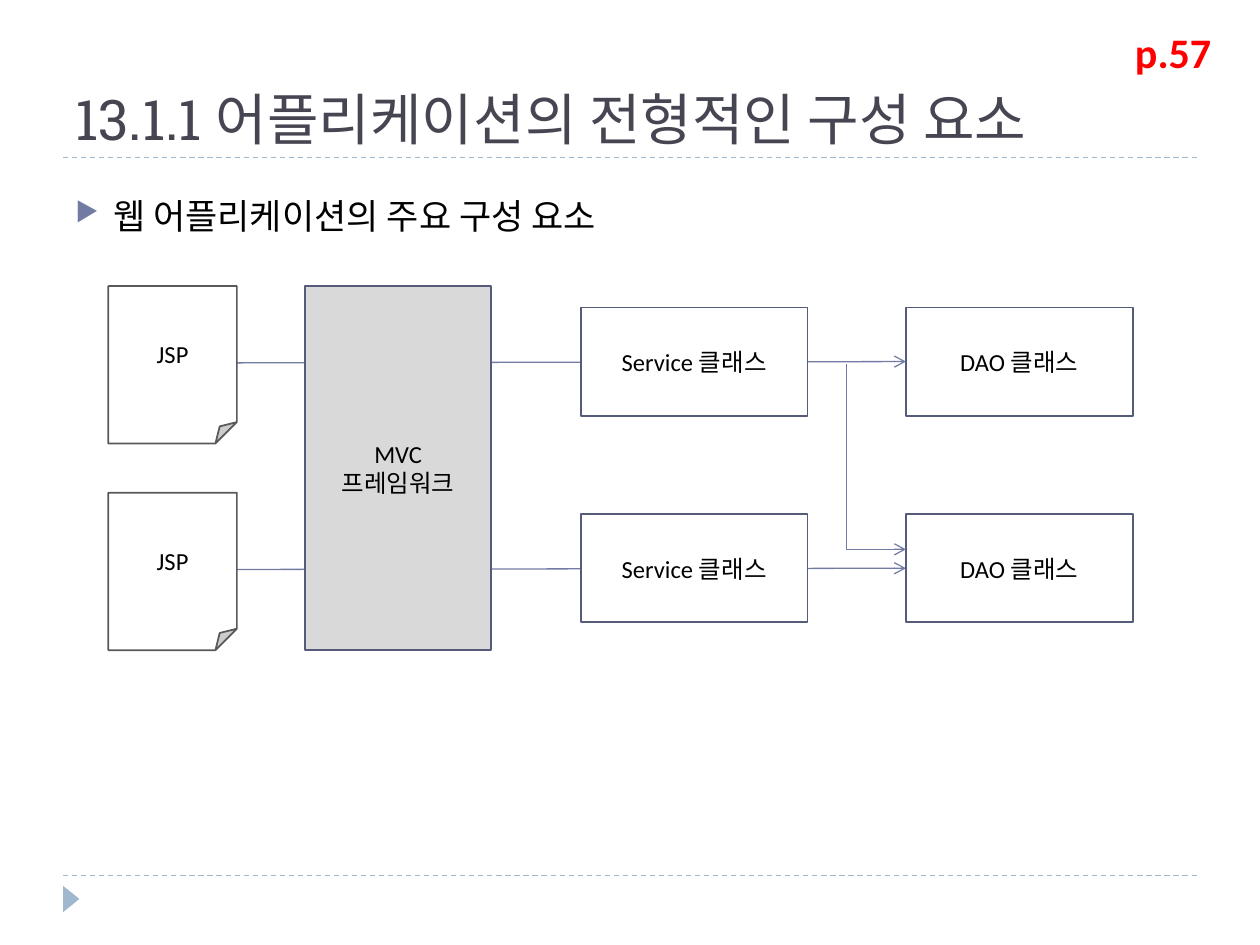
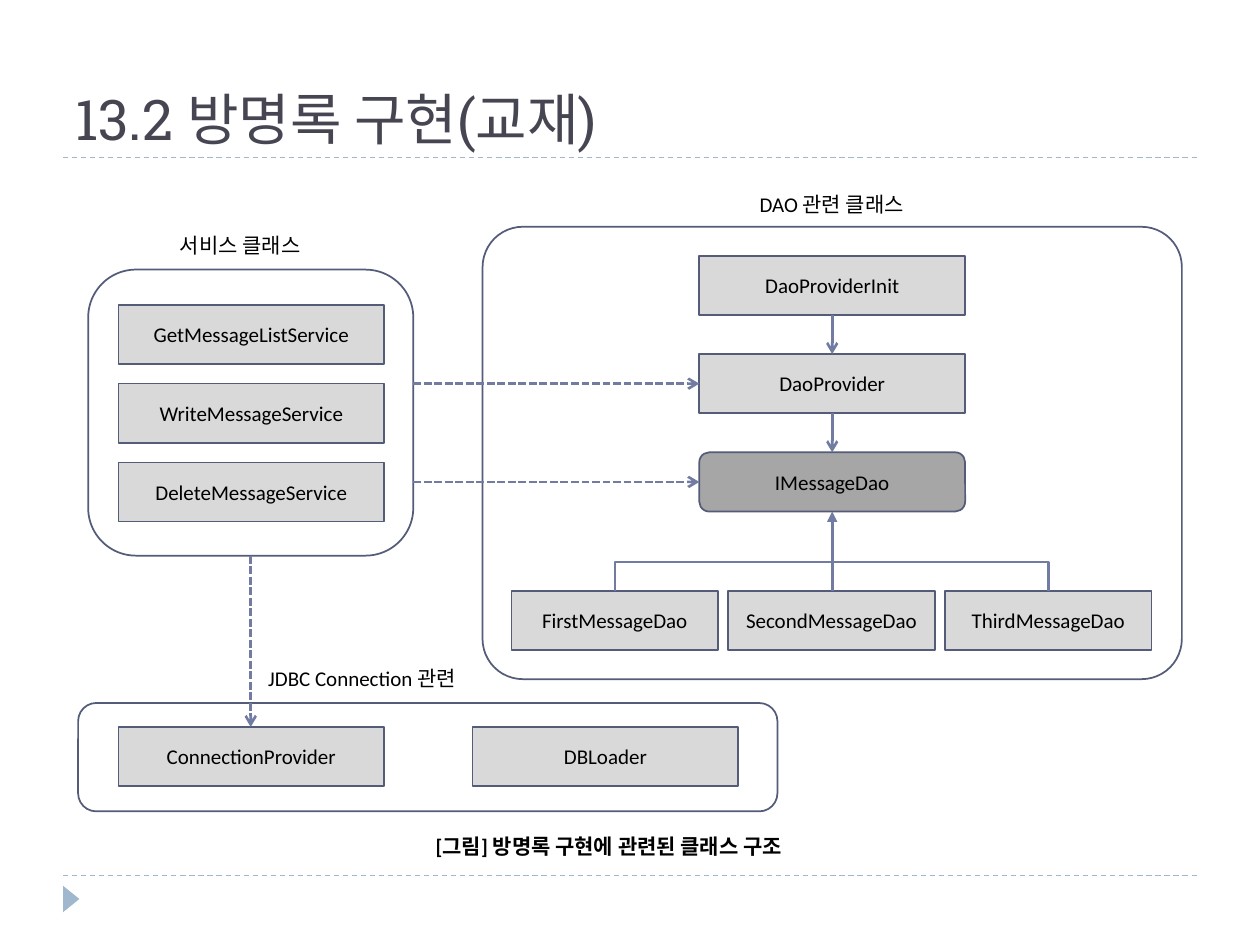
from pptx import Presentation
from pptx.dml.color import RGBColor
from pptx.enum.dml import MSO_LINE as Dash
from pptx.enum.shapes import MSO_CONNECTOR as Link, MSO_SHAPE as Kind
from pptx.enum.text import MSO_ANCHOR as Anchor, MSO_AUTO_SIZE as Fit, PP_ALIGN as Align
from pptx.oxml.ns import qn
from pptx.util import Inches, Pt
from lxml.etree import SubElement

WIDTH, HEIGHT = 10, 7.5
MARGIN = WIDTH * 0.05
TITLE_FONT, BODY_FONT = "Roboto Slab", "Calibri"
INK, TITLE_INK, RED = "000000", "464653", "FF0000"
PALE, ACCENT, EDGE = "9FB8CD", "727CA3", "545C79"
WHITE, GREY, DARK_GREY, PAPER_EDGE = "FFFFFF", "D9D9D9", "A6A6A6", "595959"

TITLES = ["13.1.1 어플리케이션의 전형적인 구성 요소", "13.2 방명록 구현(교재)"]
TOPIC = "웹 어플리케이션의 주요 구성 요소"
PAGE_MARK = "p.57"
LAYERS = [("Service 클래스", 4.61), ("DAO 클래스", 7.19)]
SERVICES = ["GetMessageListService", "WriteMessageService", "DeleteMessageService"]
DAO_CHAIN = [("DaoProviderInit", Kind.RECTANGLE, GREY),
             ("DaoProvider", Kind.RECTANGLE, GREY),
             ("IMessageDao", Kind.ROUNDED_RECTANGLE, DARK_GREY)]
DAO_VARIANTS = ["FirstMessageDao", "SecondMessageDao", "ThirdMessageDao"]
CONNECTION = ["ConnectionProvider", "DBLoader"]
GROUPS = [((0.7, 2.14, 2.58, 2.27), 0.167),
          ((3.83, 1.8, 5.55, 3.59), 0.089),
          ((0.62, 5.58, 5.55, 0.86), 0.167)]
LABELS = [("서비스 클래스", (1.33, 1.8, 1.26, 0.3), False),
          ("DAO 관련 클래스", (5.93, 1.47, 1.5, 0.3), False),
          ("JDBC Connection 관련", (2.03, 5.23, 1.82, 0.3), False),
          ("[그림] 방명록 구현에 관련된 클래스 구조", (3.36, 6.57, 3.28, 0.3), True)]


def color(value):
    return RGBColor.from_string(value)


def inches(values):
    return [Inches(value) for value in values]


def write(box, text, size, ink=INK, font=BODY_FONT, bold=False, align=None):
    box.text_frame.text = text
    for para in box.text_frame.paragraphs:
        para.alignment = align
        for span in para.runs:
            span.font.size, span.font.name, span.font.bold = Pt(size), font, bold
            span.font.color.rgb = color(ink)


def add_text(page, text, place, size, wrap=True, **style):
    box = page.shapes.add_textbox(*inches(place))
    write(box, text, size, **style)
    box.text_frame.word_wrap = wrap
    return box


def add_box(page, place, text="", kind=Kind.RECTANGLE, fill=None, edge=EDGE, size=12):
    box = page.shapes.add_shape(kind, *inches(place))
    box.shadow.inherit = False
    if fill:
        box.fill.solid()
        box.fill.fore_color.rgb = color(fill)
    else:
        box.fill.background()
    if edge:
        box.line.color.rgb = color(edge)
        box.line.width = Pt(1)
    else:
        box.line.fill.background()
    if text:
        write(box, text, size, align=Align.CENTER)
        box.text_frame.vertical_anchor = Anchor.MIDDLE
    return box


def style_line(shape, ink, width, dash=None, tip=None):
    shape.line.color.rgb = color(ink)
    shape.line.width = Pt(width)
    if dash:
        shape.line.dash_style = dash
    if tip:
        SubElement(shape.line._get_or_add_ln(), qn("a:tailEnd"), type=tip)


def add_line(page, start, end, ink=ACCENT, width=1.5, dash=None, tip=None):
    line = page.shapes.add_connector(Link.STRAIGHT, *inches(start + end))
    style_line(line, ink, width, dash, tip)
    SubElement(line._element.spPr, qn("a:effectLst"))


def add_bent_line(page, points, width, tip=None):
    start, *rest = [tuple(inches(point)) for point in points]
    builder = page.shapes.build_freeform(*start)
    builder.add_line_segments(rest, close=False)
    bent = builder.convert_to_shape()
    bent.shadow.inherit = False
    bent.fill.background()
    style_line(bent, ACCENT, width, tip=tip)


def add_page(deck, title):
    page = deck.slides.add_slide(deck.slide_layouts[6])
    for y in (6.95, 1.25):
        add_line(page, (MARGIN, y), (WIDTH - MARGIN, y), PALE, 0.75, Dash.DASH)
    marker = add_box(page, (0.46, 7.07, 0.21, 0.13), kind=Kind.ISOSCELES_TRIANGLE,
                     fill=PALE, edge=None)
    marker.rotation = 90
    box = add_text(page, title, (MARGIN, 0.17, WIDTH - 2 * MARGIN, 1.08), 32,
                   ink=TITLE_INK, font=TITLE_FONT)
    box.text_frame.vertical_anchor = Anchor.BOTTOM
    return page


def add_topic(page, text):
    box = add_text(page, text, (MARGIN, 1.33, WIDTH - 2 * MARGIN, 5.4), 20)
    para = box.text_frame.paragraphs[0]
    para.line_spacing, para.space_before = 1.5, Pt(6)
    props = para._p.get_or_add_pPr()
    props.set("marL", str(Inches(0.3)))
    props.set("indent", str(-Inches(0.3)))
    SubElement(SubElement(props, qn("a:buClr")), qn("a:srgbClr"), val=ACCENT)
    SubElement(props, qn("a:buSzPct"), val="76000")
    SubElement(props, qn("a:buChar"), char="▶")


def draw_components(page):
    top, step, sheet, layer = 2.27, 1.64, (1.02, 1.25), (1.8, 0.86)
    tops = [top, top + step]
    service_x, dao_x = [x for _, x in LAYERS]
    middles = [y + 0.17 + layer[1] / 2 for y in tops]
    for y in middles:
        add_line(page, (1.87, y + 0.01), (dao_x, y), width=0.75, tip="arrow")
    for y in tops:
        add_box(page, (0.86, y) + sheet, "JSP", Kind.FOLDED_CORNER, WHITE, PAPER_EDGE, 14)
    add_box(page, (2.42, top, 1.48, step + sheet[1]), "MVC\n프레임워크", fill=GREY, size=14)
    for name, x in LAYERS:
        for y in tops:
            add_box(page, (x, y + 0.17) + layer, name, fill=WHITE, size=14)
    branch_x = (service_x + layer[0] + dao_x) / 2 - 0.08
    branch_y = middles[1] - 0.15
    add_bent_line(page, [(branch_x, middles[0] + 0.02), (branch_x, branch_y),
                         (dao_x, branch_y)], 0.75, "arrow")


def draw_classes(page):
    wide, narrow, high = 2.11, 1.64, 0.47
    service_x, dao_x, connection_y, variant_y = 0.94, 5.55, 5.77, 4.69
    for place, corner in GROUPS:
        add_box(page, place, kind=Kind.ROUNDED_RECTANGLE).adjustments[0] = corner
    for row, name in enumerate(SERVICES):
        add_box(page, (service_x, 2.42 + 0.625 * row, wide, high), name, fill=GREY)
    chain_tops = [2.03 + 0.78 * row for row in range(len(DAO_CHAIN))]
    for y, (name, kind, fill) in zip(chain_tops, DAO_CHAIN):
        add_box(page, (dao_x, y, wide, high), name, kind, fill)
    for column, name in enumerate(CONNECTION):
        add_box(page, (service_x + 2.81 * column, connection_y, wide, high), name, fill=GREY)
    variant_xs = [4.06 + 1.72 * column for column in range(len(DAO_VARIANTS))]
    for x, name in zip(variant_xs, DAO_VARIANTS):
        add_box(page, (x, variant_y, narrow, high), name, fill=GREY)

    left, top, width, height = GROUPS[0][0]
    for y in chain_tops[1:]:
        add_line(page, (left + width, y + high / 2), (dao_x, y + high / 2),
                 dash=Dash.SQUARE_DOT, tip="arrow")
    middle = left + width / 2
    add_line(page, (middle, top + height), (middle, connection_y),
             dash=Dash.SQUARE_DOT, tip="arrow")
    spine = dao_x + wide / 2
    for upper, lower in zip(chain_tops, chain_tops[1:]):
        add_line(page, (spine, upper + high), (spine, lower), tip="arrow")
    add_line(page, (spine, variant_y), (spine, chain_tops[-1] + high), tip="triangle")
    first, last = variant_xs[0] + narrow / 2, variant_xs[-1] + narrow / 2
    rail = variant_y - 0.23
    add_bent_line(page, [(first, variant_y), (first, rail), (last, rail),
                         (last, variant_y)], 1.5)
    for text, place, bold in LABELS:
        box = add_text(page, text, place, 12, wrap=False, bold=bold)
        box.text_frame.auto_size = Fit.SHAPE_TO_FIT_TEXT


deck = Presentation()
deck.slide_width, deck.slide_height = inches((WIDTH, HEIGHT))
components, classes = [add_page(deck, title) for title in TITLES]
add_topic(components, TOPIC)
draw_components(components)
add_text(components, PAGE_MARK, (8.91, 0.16, 0.86, 0.5), 24, ink=RED, bold=True)
draw_classes(classes)
deck.save("out.pptx")
